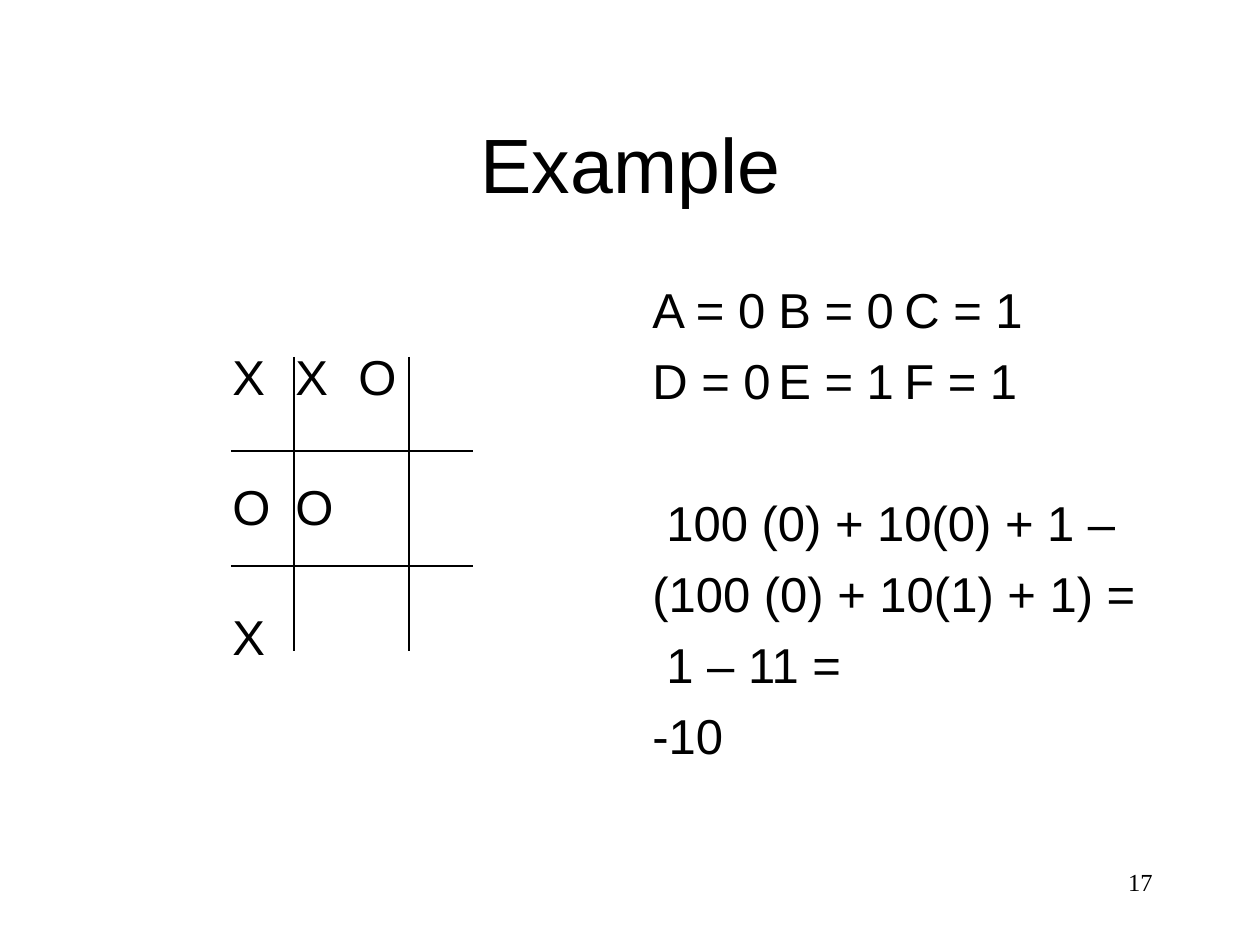
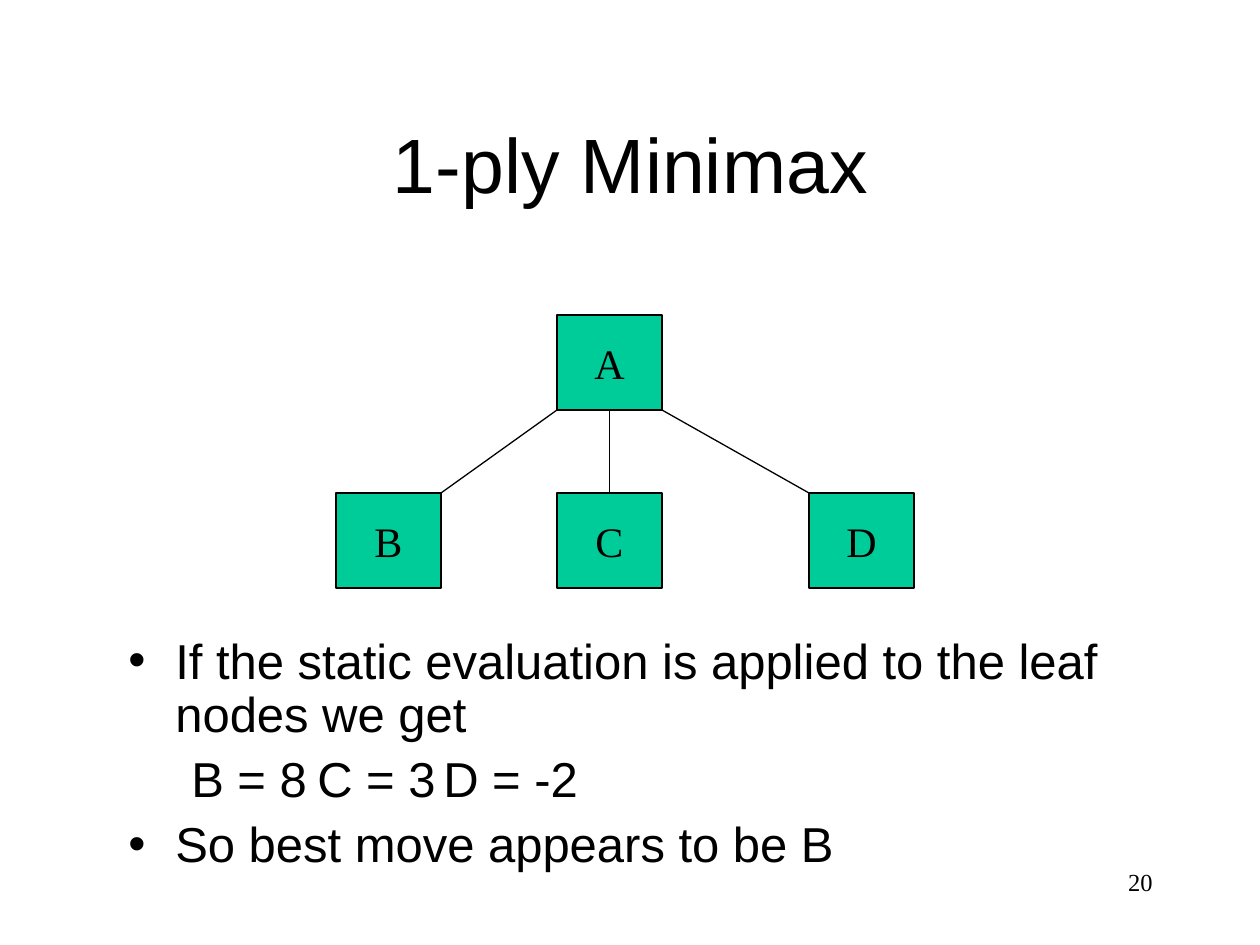
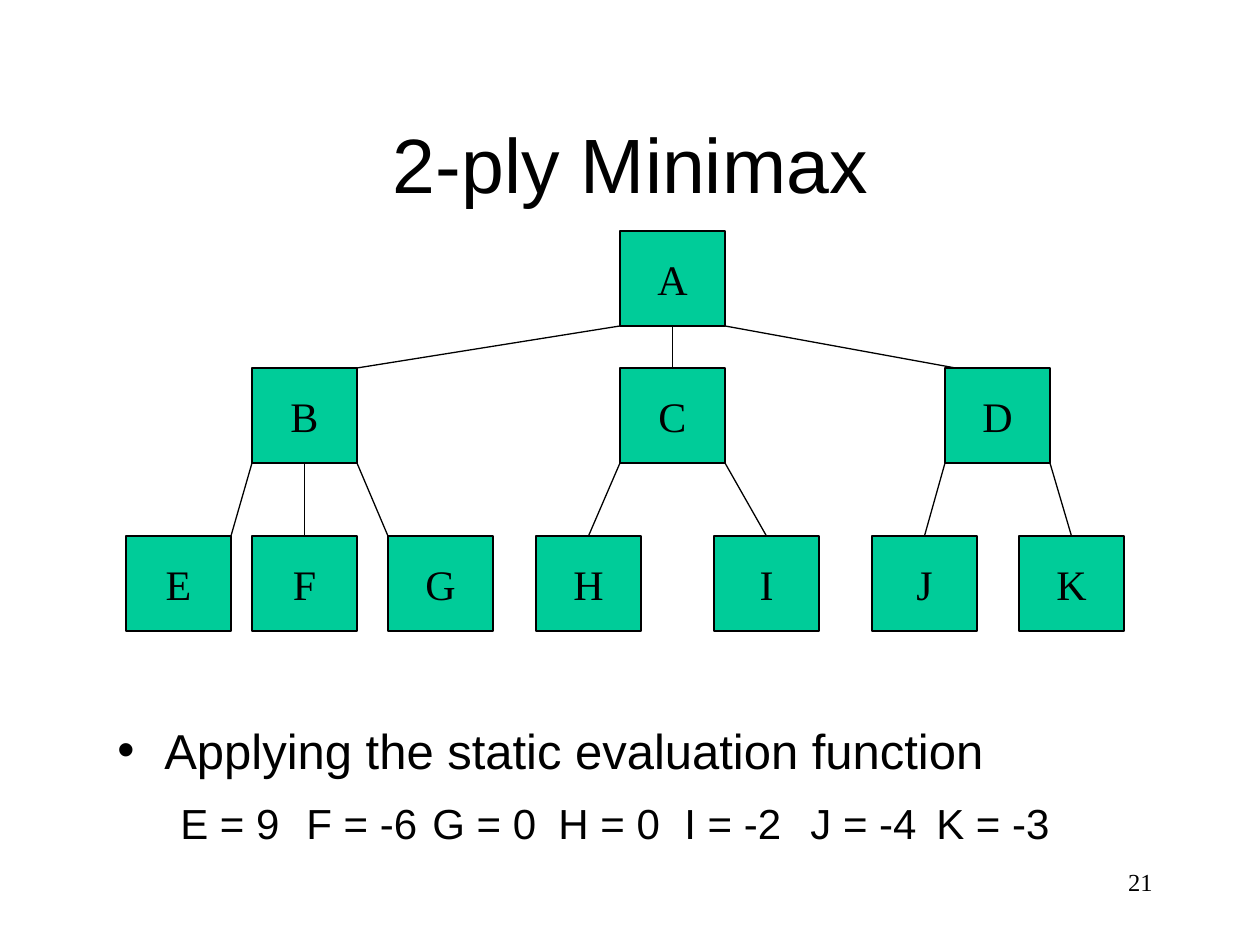
from dataclasses import dataclass
from lxml.etree import SubElement
from pptx import Presentation
from pptx.dml.color import RGBColor
from pptx.enum.shapes import MSO_CONNECTOR, MSO_SHAPE
from pptx.enum.text import MSO_ANCHOR, PP_ALIGN
from pptx.oxml.ns import qn
from pptx.util import Emu, Pt

INK, GREEN = "000000", "00CC99"
SANS, SERIF = "Arial", "Times New Roman"
NODE_W, NODE_H = 105, 95
HANG = 47
LOOSE, TIGHT = 33.6, 30.3


@dataclass
class Line:
    """One paragraph of body text."""
    text: str
    tabs: tuple = ()
    before: float = 7
    left: int = 0
    bullet: bool = False
    size: int = 28


def px(count):
    """Turn pixels into EMU."""
    return Emu(round(count * 914400 / 126))


def color(code):
    """Turn a hex string into a colour."""
    return RGBColor.from_string(code)


def style(para, size, face, align=PP_ALIGN.LEFT):
    """Format a paragraph and its runs."""
    para.alignment = align
    for run in para.runs:
        run.font.size = Pt(size)
        run.font.name = face
        run.font.color.rgb = color(INK)


def label(slide, box, text, size, face, align, anchor=MSO_ANCHOR.TOP):
    """Add a box with one line of text."""
    frame = slide.shapes.add_textbox(*map(px, box)).text_frame
    frame.word_wrap = True
    frame.vertical_anchor = anchor
    frame.text = text
    style(frame.paragraphs[0], size, face, align)


def indent(para, line):
    """Set the margins, bullet and tab stops of a paragraph."""
    props = para._p.get_or_add_pPr()
    props.set("marL", str(px(HANG if line.bullet else line.left)))
    props.set("indent", str(px(-HANG if line.bullet else 0)))
    if line.bullet:
        SubElement(props, qn("a:buFont"), typeface=SANS)
        SubElement(props, qn("a:buChar"), char="•")
    else:
        SubElement(props, qn("a:buNone"))
    if line.tabs:
        stops = SubElement(props, qn("a:tabLst"))
        for stop in line.tabs:
            SubElement(stops, qn("a:tab"), pos=str(px(stop)), algn="l")


def body(slide, box, lines, pitch):
    """Add a box of paragraphs with a fixed line pitch."""
    frame = slide.shapes.add_textbox(*map(px, box)).text_frame
    frame.word_wrap = True
    for index, line in enumerate(lines):
        para = frame.add_paragraph() if index else frame.paragraphs[0]
        para.text = line.text
        indent(para, line)
        para.line_spacing = Pt(pitch)
        para.space_before = Pt(line.before if index else 0)
        style(para, line.size, SANS)


def stroke(slide, start, end):
    """Draw a thin straight line."""
    link = slide.shapes.add_connector(
        MSO_CONNECTOR.STRAIGHT, *map(px, (*start, *end)))
    link.line.color.rgb = color(INK)
    link.line.width = Pt(0.75)
    SubElement(link._element.spPr, qn("a:effectLst"))


def node(slide, left, top, name):
    """Draw one lettered node."""
    shape = slide.shapes.add_shape(
        MSO_SHAPE.RECTANGLE, *map(px, (left, top, NODE_W, NODE_H)))
    shape.shadow.inherit = False
    shape.fill.solid()
    shape.fill.fore_color.rgb = color(GREEN)
    shape.line.color.rgb = color(INK)
    shape.line.width = Pt(0.75)
    frame = shape.text_frame
    frame.word_wrap = False
    frame.vertical_anchor = MSO_ANCHOR.MIDDLE
    frame.text = name
    style(frame.paragraphs[0], 24, SERIF, PP_ALIGN.CENTER)


def tree(slide, origin, rows, links):
    """Draw a tree whose links join points along the node edges."""
    left, top = origin
    spots = {name: (left + across, top + down)
             for down, row in rows.items() for name, across in row.items()}
    for name, spot in spots.items():
        node(slide, *spot, name)
    for (head, tail), (out, into) in links.items():
        x, y = spots[head]
        end, low = spots[tail]
        stroke(slide, (x + out * NODE_W, y + NODE_H),
               (end + into * NODE_W, low))


def board(slide, box):
    """Draw the game board with its marks."""
    left, top, width, height = box
    for across in (74, 189):
        stroke(slide, (left + across, top + 11), (left + across, top + 305))
    for down in (105, 220):
        stroke(slide, (left + 11, top + down), (left + 253, top + down))
    body(slide, box, [Line("X\tX\tO", (101, 202)),
                      Line("O\tO", (106,), 44), Line("X", before=44)], TIGHT)


def page(deck, title, number):
    """Add a slide with its title and number."""
    slide = deck.slides.add_slide(deck.slide_layouts[6])
    label(slide, (95, 84, 1071, 158), title, 44, SANS,
          PP_ALIGN.CENTER, MSO_ANCHOR.MIDDLE)
    label(slide, (903, 861, 262, 63), number, 14, SERIF, PP_ALIGN.RIGHT)
    return slide


def sample(deck):
    """Build the worked example."""
    slide = page(deck, "Example", "17")
    board(slide, (220, 346, 294, 346))
    body(slide, (640, 273, 525, 567), [
        Line("A = 0\tB = 0\tC = 1", (140, 283)),
        Line("D = 0\tE = 1\tF = 1", (146, 289)),
        Line("100 (0) + 10(0) + 1 –", before=47.6, left=14),
        Line("(100 (0) + 10(1) + 1) ="),
        Line("1 – 11 =", left=14),
        Line("-10")], LOOSE)


def single(deck):
    """Build the tree of one ply."""
    slide = page(deck, "1-ply Minimax", "20")
    tree(slide, (336, 315),
         {0: {"A": 221}, 178: {"B": 0, "C": 221, "D": 473}},
         {"AB": (0, 1), "AC": (0.5, 0.5), "AD": (1, 0)})
    body(slide, (116, 630, 1060, 252), [
        Line("If the static evaluation is applied to the leaf nodes we get",
             bullet=True),
        Line("\tB = 8\tC = 3\tD = -2", (296, 480, 667)),
        Line("So best move appears to be B", bullet=True)], TIGHT)


def double(deck):
    """Build the tree of two plies."""
    slide = page(deck, "2-ply Minimax", "21")
    tree(slide, (126, 231),
         {0: {"A": 494},
          137: {"B": 126, "C": 494, "D": 819},
          305: {"E": 0, "F": 126, "G": 262, "H": 410,
                "I": 588, "J": 746, "K": 893}},
         {"AB": (0, 1), "AC": (0.5, 0.5), "AD": (1, 0.1),
          "BE": (0, 1), "BF": (0.5, 0.5), "BG": (1, 0),
          "CH": (0, 0.5), "CI": (1, 0.5),
          "DJ": (0, 0.5), "DK": (1, 0.5)})
    body(slide, (105, 714, 1071, 168), [
        Line("Applying the static evaluation function", bullet=True),
        Line("\tE = 9\tF = -6\tG = 0\tH = 0\tI = -2\tJ = -4\tK = -3",
             (47, 181, 327, 466, 603, 735, 876), before=6, size=24)], LOOSE)


def main():
    """Build and save the deck."""
    deck = Presentation()
    deck.slide_width, deck.slide_height = px(1260), px(945)
    for build in (sample, single, double):
        build(deck)
    deck.save("out.pptx")


if __name__ == "__main__":
    main()
